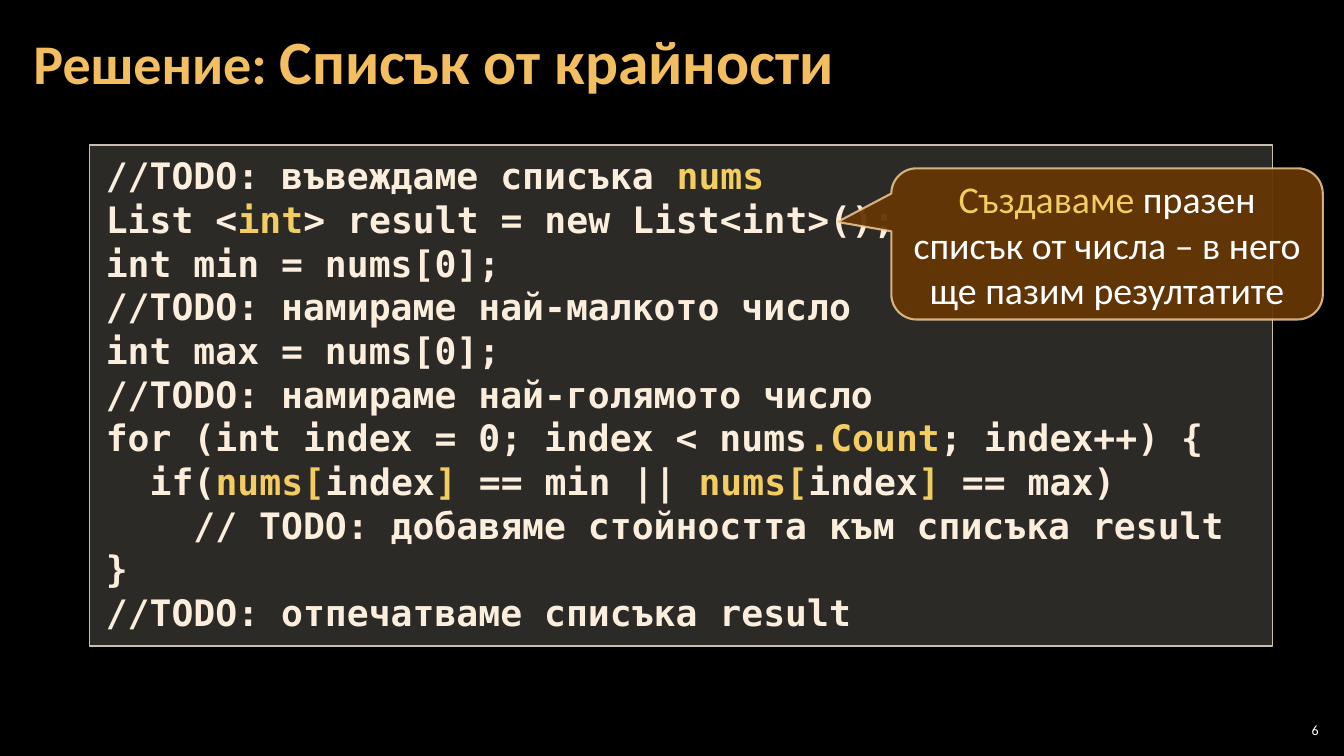
from dataclasses import dataclass

from lxml import etree
from pptx import Presentation
from pptx.dml.color import RGBColor
from pptx.enum.shapes import MSO_SHAPE
from pptx.enum.text import MSO_ANCHOR, PP_ALIGN
from pptx.oxml.ns import qn
from pptx.util import Inches, Pt


@dataclass(frozen=True)
class Theme:
    text_font: str = "Calibri"
    code_font: str = "DejaVu Sans Mono"
    background: str = "000000"
    title: str = "F3BE60"
    accent: str = "F3CD60"
    code: str = "FBEEDC"
    white: str = "FFFFFF"
    code_fill: str = "D9D5C7"
    code_line: str = "C7BFAC"
    callout_fill: str = "663606"
    callout_line: str = "F8D49E"
    title_prefix_size: float = 40
    title_size: float = 44
    code_size: float = 26
    code_spacing: float = 31.2
    callout_size: float = 27
    number_size: float = 10


CODE_LINES = [
    ["//TODO: въвеждаме списъка ", "nums"],
    ["List <", "int", "> result = new List<int>();"],
    ["int min = nums[0];"],
    ["//TODO: намираме най-малкото число"],
    ["int max = nums[0];"],
    ["//TODO: намираме най-голямото число"],
    ["for (int index = 0; index < nums", ".Count", "; index++) {"],
    ["  if(", "nums[", "index", "]", " == min || ", "nums[", "index", "]", " == max)"],
    ["    // TODO: добавяме стойността към списъка result"],
    ["}"],
    ["//TODO: отпечатваме списъка result"],
]


class SlideBuilder:
    def __init__(self, slide, theme):
        self.slide = slide
        self.theme = theme
        fill = slide.background.fill
        fill.solid()
        fill.fore_color.rgb = RGBColor.from_string(theme.background)

    def add_run(self, paragraph, text, size, color, font=None, bold=False):
        run = paragraph.add_run()
        run.text = text
        run.font.name = font or self.theme.text_font
        run.font.size = Pt(size)
        run.font.bold = bold
        run.font.color.rgb = RGBColor.from_string(color)

    def set_frame(self, shape, anchor, horizontal, vertical):
        frame = shape.text_frame
        frame.word_wrap = True
        frame.vertical_anchor = anchor
        frame.margin_left = frame.margin_right = Inches(horizontal)
        frame.margin_top = frame.margin_bottom = Inches(vertical)
        return frame

    def set_color(self, fill, color, opacity):
        fill.solid()
        fill.fore_color.rgb = RGBColor.from_string(color)
        if opacity < 100:
            element = fill._xPr.find(qn("a:solidFill"))[0]
            alpha = etree.SubElement(element, qn("a:alpha"))
            alpha.set("val", str(opacity * 1000))

    def add_panel(self, kind, box, fill, opacity, line, width, line_opacity=100):
        shape = self.slide.shapes.add_shape(kind, *map(Inches, box))
        shape.shadow.inherit = False
        self.set_color(shape.fill, fill, opacity)
        self.set_color(shape.line.fill, line, line_opacity)
        shape.line.width = Pt(width)
        return shape

    def add_title(self, prefix, text, box):
        theme = self.theme
        title = self.slide.shapes.title
        title.left, title.top, title.width, title.height = map(Inches, box)
        frame = self.set_frame(title, MSO_ANCHOR.MIDDLE, 0.12, 0.04)
        paragraph = frame.paragraphs[0]
        paragraph.alignment = PP_ALIGN.LEFT
        paragraph.line_spacing = 0.9
        self.add_run(paragraph, prefix, theme.title_prefix_size, theme.title, bold=True)
        self.add_run(paragraph, text, theme.title_size, theme.title, bold=True)

    def add_code(self, lines, box):
        theme = self.theme
        panel = self.add_panel(
            MSO_SHAPE.RECTANGLE, box, theme.code_fill, 20, theme.code_line, 1)
        frame = self.set_frame(panel, MSO_ANCHOR.TOP, 0.16, 0.08)
        for index, segments in enumerate(lines):
            paragraph = frame.add_paragraph() if index else frame.paragraphs[0]
            paragraph.alignment = PP_ALIGN.LEFT
            paragraph.line_spacing = Pt(theme.code_spacing)
            for position, text in enumerate(segments):
                color = theme.accent if position % 2 else theme.code
                self.add_run(
                    paragraph, text, theme.code_size, color, theme.code_font, True)

    def add_callout(self, highlight, text, box, adjustments):
        theme = self.theme
        callout = self.add_panel(
            MSO_SHAPE.ROUNDED_RECTANGULAR_CALLOUT, box,
            theme.callout_fill, 95, theme.callout_line, 1.5, 80)
        for index, value in enumerate(adjustments):
            callout.adjustments[index] = value
        frame = self.set_frame(callout, MSO_ANCHOR.MIDDLE, 0.1, 0.05)
        paragraph = frame.paragraphs[0]
        paragraph.alignment = PP_ALIGN.CENTER
        self.add_run(paragraph, highlight, theme.callout_size, theme.accent)
        self.add_run(paragraph, text, theme.callout_size, theme.white)

    def add_number(self, text, box):
        number = self.slide.shapes.add_textbox(*map(Inches, box))
        frame = self.set_frame(number, MSO_ANCHOR.MIDDLE, 0.04, 0.04)
        paragraph = frame.paragraphs[0]
        paragraph.alignment = PP_ALIGN.RIGHT
        self.add_run(paragraph, text, self.theme.number_size, self.theme.white)


def main():
    presentation = Presentation()
    presentation.slide_width = Inches(13.33)
    presentation.slide_height = Inches(7.5)
    slide = presentation.slides.add_slide(presentation.slide_layouts[5])
    builder = SlideBuilder(slide, Theme())
    builder.add_title("Решение: ", "Списък от крайности", (0.21, 0.04, 10.63, 1.21))
    builder.add_code(CODE_LINES, (0.89, 1.44, 11.73, 4.97))
    builder.add_callout(
        "Създаваме ", "празен списък от числа – в него ще пазим резултатите",
        (8.84, 1.67, 4.28, 1.5), (-0.625, -0.145, 0.167))
    builder.add_number("6", (12.65, 7.14, 0.47, 0.21))
    presentation.save("out.pptx")


if __name__ == "__main__":
    main()
